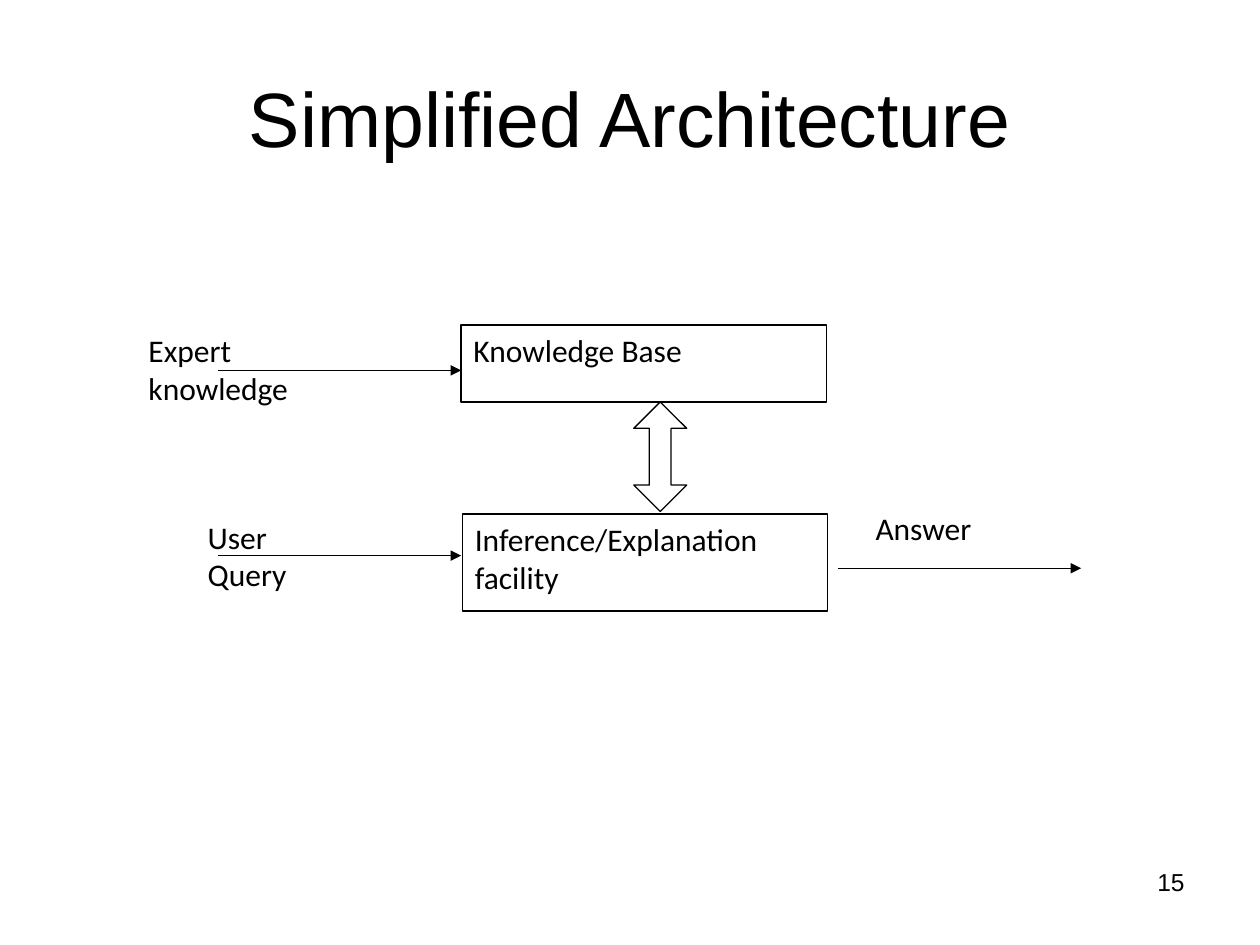
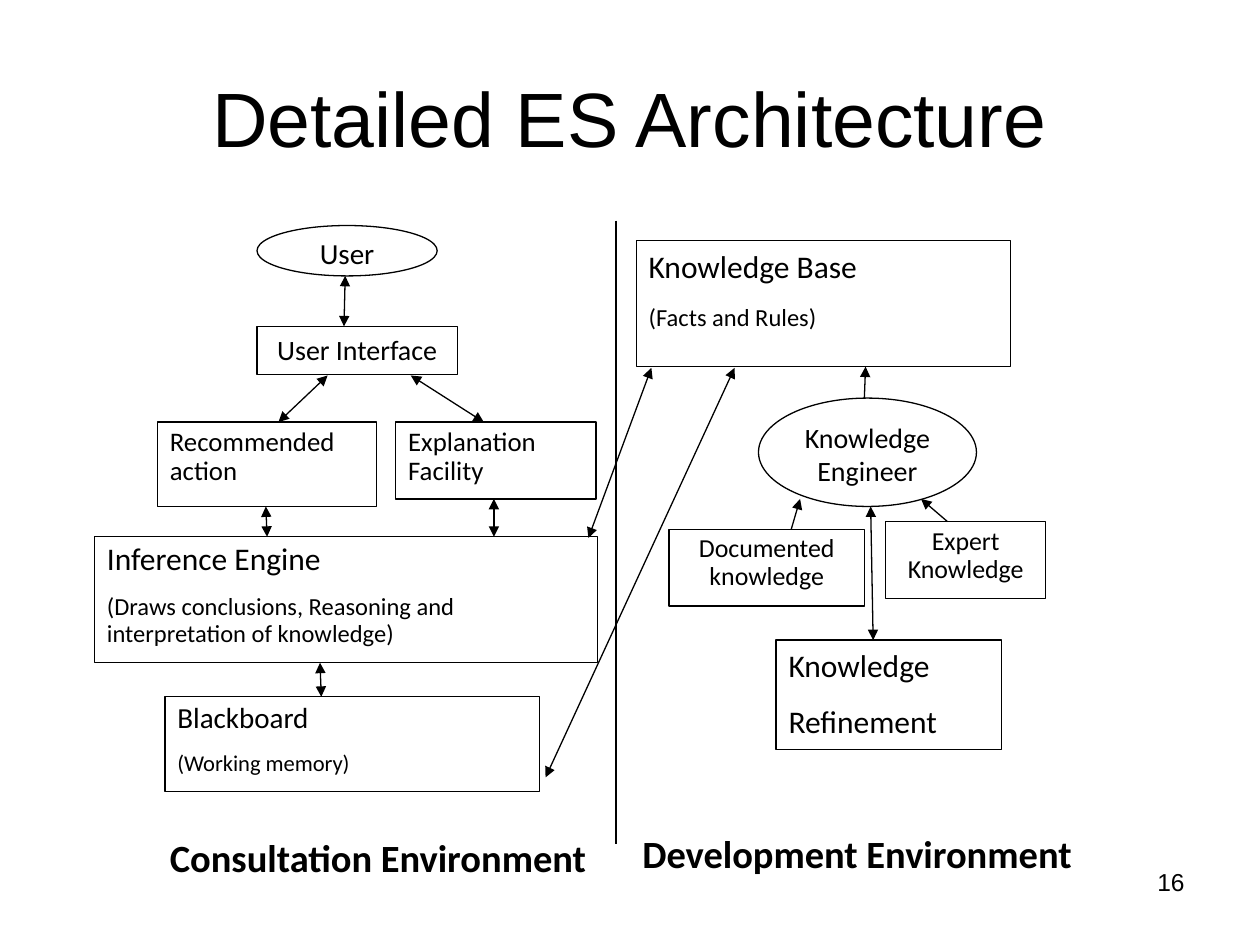
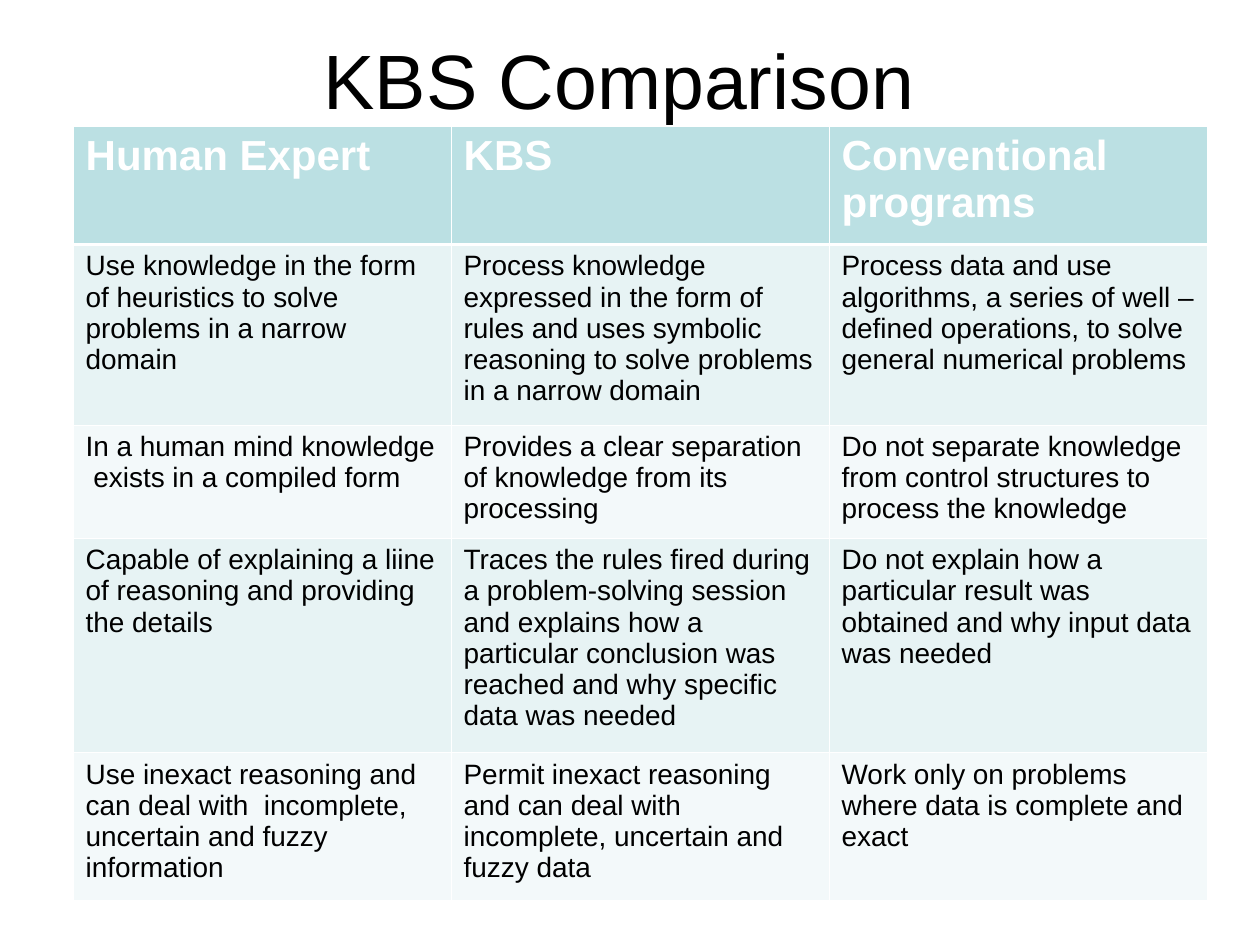
from lxml import etree
from pptx import Presentation
from pptx import util as u
from pptx.dml.color import RGBColor
from pptx.enum import shapes, text
from pptx.oxml.ns import qn

COLORS = {
    "ink": "000000",
    "paper": "FFFFFF",
    "header": "BBE0E3",
    "odd_row": "E7F3F4",
    "even_row": "F3F9FA",
}
LEFT, CENTER, RIGHT = text.PP_ALIGN.LEFT, text.PP_ALIGN.CENTER, text.PP_ALIGN.RIGHT
RECTANGLE = shapes.MSO_SHAPE.RECTANGLE
OVAL = shapes.MSO_SHAPE.OVAL


def color(name):
    return RGBColor.from_string(COLORS[name])


def inches(*values):
    return [u.Inches(value) for value in values]


class Deck:
    """Holds the shared style and the slide being built."""

    title_font = "Arial"
    diagram_font = "Calibri"
    line_width = u.Pt(0.75)

    def __init__(self):
        self.presentation = Presentation()
        self.presentation.slide_width, self.presentation.slide_height = inches(10, 7.5)
        self.slide = None

    def new_slide(self, title, top=0.3, number=None):
        self.slide = self.presentation.slides.add_slide(self.presentation.slide_layouts[6])
        self.text_box(title, (0.5, top, 9, 1.25), 44, CENTER, text.MSO_ANCHOR.MIDDLE)
        if number:
            self.text_box(str(number), (7.17, 6.83, 2.33, 0.52), 14, RIGHT)

    def set_text(self, paragraph, words, font, size, align=LEFT, ink="ink", bold=False):
        paragraph.text = words
        paragraph.alignment = align
        paragraph.font.name = font
        paragraph.font.size = u.Pt(size)
        paragraph.font.bold = bold
        paragraph.font.color.rgb = color(ink)

    def text_box(self, words, box, size, align, anchor=text.MSO_ANCHOR.TOP):
        frame = self.slide.shapes.add_textbox(*inches(*box)).text_frame
        frame.word_wrap = True
        frame.vertical_anchor = anchor
        self.set_text(frame.paragraphs[0], words, self.title_font, size, align)

    def node(self, box, *lines, kind=RECTANGLE, align=LEFT, spacing=1.0, outlined=True, bold=False):
        """Add a diagram shape; each line is a (words, size) pair."""
        shape = self.slide.shapes.add_shape(kind, *inches(*box))
        shape.shadow.inherit = False
        shape.fill.solid()
        shape.fill.fore_color.rgb = color("paper")
        if outlined:
            shape.line.color.rgb = color("ink")
            shape.line.width = self.line_width
        else:
            shape.line.fill.background()
        frame = shape.text_frame
        frame.word_wrap = True
        frame.vertical_anchor = text.MSO_ANCHOR.TOP
        for index, (words, size) in enumerate(lines):
            paragraph = frame.add_paragraph() if index else frame.paragraphs[0]
            self.set_text(paragraph, words, self.diagram_font, size, align, bold=bold)
            paragraph.line_spacing = spacing
            paragraph.space_after = u.Pt(10)
        return shape

    def line(self, start, end, heads=()):
        """Add a line; heads names its arrow ends, headEnd at start and tailEnd at end."""
        connector = self.slide.shapes.add_connector(
            shapes.MSO_CONNECTOR.STRAIGHT, *inches(*start, *end))
        connector.line.color.rgb = color("ink")
        connector.line.width = self.line_width
        properties = connector._element.spPr
        for head in heads:
            etree.SubElement(properties.find(qn("a:ln")), qn(f"a:{head}"), type="triangle")
        etree.SubElement(properties, qn("a:effectLst"))

    def arrow(self, start, end):
        self.line(start, end, ["tailEnd"])

    def double_arrow(self, start, end):
        self.line(start, end, ["headEnd", "tailEnd"])

    def borders(self, cell, **widths):
        properties = cell._tc.get_or_add_tcPr()
        for index, (side, width) in enumerate(widths.items()):
            border = etree.Element(qn(f"a:ln{side}"), w=str(u.Pt(width)))
            fill = etree.SubElement(border, qn("a:solidFill"))
            etree.SubElement(fill, qn("a:srgbClr"), val=COLORS["paper"])
            properties.insert(index, border)

    def table(self, box, heights, rows):
        table = self.slide.shapes.add_table(len(rows), len(rows[0]), *inches(*box)).table
        for row_index, (height, row) in enumerate(zip(heights, rows)):
            table.rows[row_index].height = u.Inches(height)
            header = row_index == 0
            fill = "header" if header else "odd_row" if row_index % 2 else "even_row"
            for column_index, words in enumerate(row):
                cell = table.cell(row_index, column_index)
                cell.fill.solid()
                cell.fill.fore_color.rgb = color(fill)
                self.borders(cell, L=0.45, R=0.45, T=1.47 if row_index == 1 else 0.45,
                             B=1.47 if header else 0.45)
                self.set_text(cell.text_frame.paragraphs[0], words, self.title_font,
                              24 if header else 16, ink="paper" if header else "ink", bold=header)


def simplified_architecture(deck):
    deck.new_slide("Simplified Architecture", number=15)
    # Components
    deck.node((3.66, 2.58, 2.9, 0.61), ("Knowledge Base", 18))
    deck.node((3.67, 4.08, 2.9, 0.77), ("Inference/Explanation facility", 18))
    exchange = deck.node((5.03, 3.19, 0.42, 0.87), kind=shapes.MSO_SHAPE.UP_DOWN_ARROW)
    exchange.adjustments[0] = 0.5
    exchange.adjustments[1] = 0.41
    # Inputs and output
    for words, box in (
        ("Expert knowledge", (1.08, 2.58, 1.61, 0.85)),
        ("User Query", (1.55, 4.06, 1.15, 0.77)),
        ("Answer", (6.85, 3.99, 1.15, 0.43)),
    ):
        deck.node(box, (words, 18), outlined=False)
    for left, top in ((1.73, 2.94), (1.73, 4.41), (6.65, 4.51)):
        deck.arrow((left, top), (left + 1.93, top))


def detailed_architecture(deck):
    deck.new_slide("Detailed ES Architecture", number=16)
    # Consultation side
    deck.node((2.04, 1.79, 1.43, 0.4), ("User", 16.6), kind=OVAL, align=CENTER, spacing=0.9)
    deck.node((2.04, 2.59, 1.59, 0.38), ("User Interface", 16), align=CENTER)
    deck.node((3.14, 3.35, 1.59, 0.61), ("Explanation Facility", 15.3), spacing=0.9)
    deck.node((1.25, 3.35, 1.74, 0.67), ("Recommended action", 15.3), spacing=0.9)
    deck.node((0.75, 4.26, 3.99, 1), ("Inference Engine", 18),
              ("(Draws conclusions, Reasoning and interpretation of knowledge)", 14), spacing=0.9)
    deck.node((1.31, 5.53, 2.97, 0.75), ("Blackboard", 16.6), ("(Working memory)", 12.9),
              spacing=0.9)
    # Development side
    deck.node((5.05, 1.91, 2.97, 1), ("Knowledge Base", 18), ("(Facts and Rules)", 14))
    deck.node((6.02, 3.16, 1.73, 0.86), ("Knowledge Engineer", 16), kind=OVAL, align=CENTER)
    deck.node((5.31, 4.2, 1.55, 0.61), ("Documented knowledge", 14.8), align=CENTER, spacing=0.9)
    deck.node((7.03, 4.14, 1.27, 0.61), ("Expert Knowledge", 14.8), align=CENTER, spacing=0.9)
    deck.node((6.16, 5.08, 1.79, 0.87), ("Knowledge", 18), ("Refinement", 18))
    # Environment names and divider
    for words, box in (
        ("Consultation Environment", (1.25, 6.57, 3.57, 0.47)),
        ("Development Environment", (5, 6.54, 3.73, 0.47)),
    ):
        deck.node(box, (words, 22), outlined=False, bold=True)
    deck.line((4.89, 1.75), (4.89, 6.7))
    # Two-way flows
    for start, end in (
        ((2.74, 2.19), (2.73, 2.59)),
        ((2.6, 2.98), (2.21, 3.35)),
        ((3.26, 2.98), (3.84, 3.35)),
        ((2.11, 4.02), (2.12, 4.26)),
        ((3.92, 3.96), (3.92, 4.26)),
        ((2.54, 5.26), (2.55, 5.53)),
        ((5.17, 2.92), (4.67, 4.27)),
        ((6.91, 4.02), (6.93, 5.08)),
        ((5.83, 2.92), (4.33, 6.17)),
    ):
        deck.double_arrow(start, end)
    # One-way flows
    for start, end in (
        ((6.28, 4.2), (6.35, 3.96)),
        ((7.52, 4.14), (7.31, 3.96)),
        ((6.86, 3.16), (6.87, 2.91)),
    ):
        deck.arrow(start, end)


def comparison(deck):
    deck.new_slide("KBS Comparison ", top=0)
    deck.table((0.58, 1, 9, 6.14), (0.94, 1.43, 0.9, 1.7, 1.17), (
        ("Human Expert", "KBS", "Conventional programs"),
        ("Use knowledge in the form of heuristics to solve problems in a narrow domain",
         "Process knowledge expressed in the form of rules and uses symbolic reasoning "
         "to solve problems in a narrow domain",
         "Process data and use algorithms, a series of well –defined operations, "
         "to solve general numerical problems"),
        ("In a human mind knowledge  exists in a compiled form",
         "Provides a clear separation of knowledge from its processing",
         "Do not separate knowledge from control structures to process the knowledge"),
        ("Capable of explaining a liine of reasoning and providing the details",
         "Traces the rules fired during a problem-solving session and explains how a "
         "particular conclusion was reached and why specific data was needed",
         "Do not explain how a particular result was obtained and why input data was needed"),
        ("Use inexact reasoning and can deal with  incomplete, uncertain and fuzzy information",
         "Permit inexact reasoning and can deal with incomplete, uncertain and fuzzy data",
         "Work only on problems where data is complete and exact"),
    ))


def main():
    deck = Deck()
    simplified_architecture(deck)
    detailed_architecture(deck)
    comparison(deck)
    deck.presentation.save("out.pptx")


if __name__ == "__main__":
    main()
